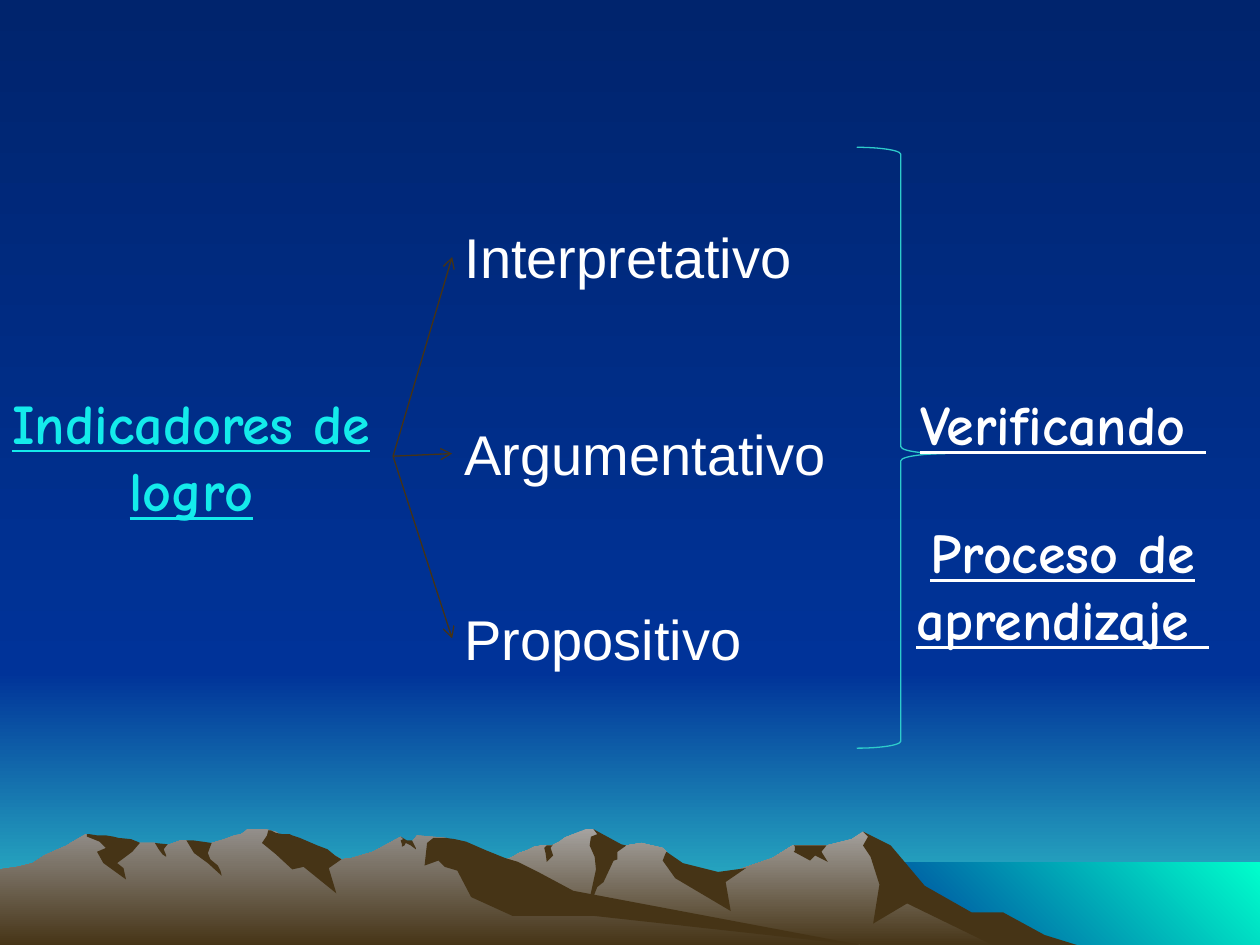
import lxml.etree
import pptx
import pptx.dml.color
import pptx.enum.shapes
import pptx.enum.text
import pptx.oxml.ns
import pptx.util

Pt = pptx.util.Pt
RGBColor = pptx.dml.color.RGBColor
SHAPE = pptx.enum.shapes.MSO_SHAPE
CENTER = pptx.enum.text.PP_ALIGN.CENTER

NIGHT = RGBColor(0x00, 0x24, 0x6D)
BLUE = RGBColor(0x00, 0x33, 0x99)
HORIZON = RGBColor(0x33, 0xCC, 0xCC)
SEA_GREEN = RGBColor(0x00, 0xFF, 0xCC)
EARTH = RGBColor(0x46, 0x34, 0x16)
RIGHT_PEAK = RGBColor(0xA5, 0xA2, 0x9F)
LEFT_PEAK = RGBColor(0x93, 0x8F, 0x8B)
ARROW = RGBColor(0x46, 0x33, 0x14)
BRACE = RGBColor(0x2E, 0xCB, 0xCB)
CYAN = RGBColor(0x14, 0xEB, 0xEB)
WHITE = RGBColor(0xFF, 0xFF, 0xFF)

DOWN, UP_RIGHT = 270, 45
RIGHT_SIDE, LEFT_SIDE = 3, 1

# Outlines count in steps of GRID points from the top left of the mountains.
GRID = 0.72
RIGHT_RIDGE = [
    (802, 82), (778, 69), (764, 65), (723, 40), (702, 13), (685, 2), (676, 8),
    (656, 13), (629, 13), (613, 23), (566, 39), (536, 32), (529, 18), (526, 15),
    (509, 11), (497, 13), (486, 15), (474, 3), (471, 0), (465, 0), (450, 6),
    (448, 7), (444, 10), (438, 13), (430, 13), (424, 14), (418, 17), (412, 19),
    (405, 23), (399, 25), (394, 27), (355, 40), (327, 51), (277, 81), (258, 93),
    (821, 93)]
RIGHT_SHADOWS = [
    [(796, 66), (771, 66), (734, 45), (707, 13), (685, 2), (689, 6), (685, 13),
     (691, 22), (698, 44), (693, 75), (720, 59), (792, 94), (858, 93), (829, 84)],
    [(471, 0), (474, 4), (469, 6), (468, 13), (472, 22), (473, 32), (465, 69),
     (474, 46), (479, 42), (487, 25), (490, 24), (490, 18), (497, 13), (493, 12)],
    [(529, 18), (528, 20), (526, 25), (536, 39), (580, 65), (576, 42), (592, 31),
     (570, 34), (542, 27)],
    [(650, 13), (630, 13), (631, 14), (631, 17), (630, 18), (643, 25), (647, 21),
     (657, 26), (652, 18), (656, 13)],
    [(433, 19), (432, 15), (434, 13), (438, 13), (439, 12), (437, 15), (439, 21),
     (434, 26)],
]
LEFT_RIDGE = [
    (690, 93), (667, 90), (432, 54), (354, 7), (331, 5), (327, 10), (323, 10),
    (318, 6), (296, 18), (279, 23), (271, 24), (260, 18), (236, 23), (223, 5),
    (222, 4), (219, 2), (215, 1), (212, 0), (196, 0), (194, 2), (191, 4),
    (186, 5), (178, 8), (168, 11), (160, 13), (148, 9), (143, 9), (132, 13),
    (128, 13), (123, 11), (111, 11), (94, 13), (68, 4), (56, 11), (53, 13),
    (46, 16), (35, 21), (26, 27), (14, 30), (0, 32), (0, 93)]
LEFT_SHADOWS = [
    [(212, 5), (208, 11), (219, 20), (232, 32), (241, 30), (267, 51), (261, 31),
     (271, 24), (266, 21), (260, 16), (252, 13), (245, 10), (238, 7), (232, 5),
     (230, 4), (224, 4), (219, 3), (215, 1), (213, 1)],
    [(370, 10), (361, 8), (354, 7), (344, 7), (339, 11), (337, 29), (348, 25),
     (353, 30), (363, 33), (374, 54), (407, 69), (472, 69), (690, 93), (683, 92),
     (455, 49), (427, 34), (411, 26), (401, 23), (386, 17)],
    [(318, 9), (320, 8), (318, 6), (323, 9), (327, 9), (330, 15), (330, 16),
     (326, 13), (322, 11), (321, 13), (319, 14), (319, 12)],
    [(154, 9), (161, 10), (168, 11), (165, 19), (167, 24), (173, 29), (175, 33),
     (176, 37), (165, 27), (154, 19), (148, 9)],
    [(133, 12), (130, 16), (132, 21), (132, 22), (129, 20), (126, 16), (123, 11)],
    [(109, 10), (111, 11), (105, 18), (93, 27), (98, 31), (100, 40), (82, 27),
     (77, 18), (84, 15), (79, 10), (69, 6), (69, 4), (71, 4), (77, 5), (84, 5),
     (90, 6), (94, 7), (104, 8)],
]


def fill_gradient(fill, colors, angle):
    fill.gradient()
    fill.gradient_angle = angle
    for stop, color, position in zip(fill.gradient_stops, colors, (0, 1)):
        stop.color.rgb = color
        stop.position = position


def add_panel(slide, box, colors, angle):
    panel = slide.shapes.add_shape(SHAPE.RECTANGLE, *map(Pt, box))
    panel.shadow.inherit = False
    panel.line.fill.background()
    fill_gradient(panel.fill, colors, angle)


def add_outline(slide, points, left, top):
    builder = slide.shapes.build_freeform(*points[0], scale=Pt(GRID))
    builder.add_line_segments(points[1:], close=True)
    outline = builder.convert_to_shape(Pt(left), Pt(top))
    outline.shadow.inherit = False
    outline.line.fill.background()
    return outline


def add_mountains(slide, left, top):
    ranges = ((RIGHT_RIDGE, RIGHT_PEAK, RIGHT_SHADOWS),
              (LEFT_RIDGE, LEFT_PEAK, LEFT_SHADOWS))
    for ridge, peak, shadows in ranges:
        fill_gradient(add_outline(slide, ridge, left, top).fill, (peak, EARTH), DOWN)
        for points in shadows:
            shadow = add_outline(slide, points, left, top)
            shadow.fill.solid()
            shadow.fill.fore_color.rgb = EARTH


def add_landscape(slide, width, height):
    """Sky, sea and mountains, from back to front."""
    horizon = 384
    fill_gradient(slide.background.fill, (NIGHT, BLUE), DOWN)
    add_panel(slide, (0, horizon, width, height - horizon), (BLUE, HORIZON), DOWN)
    add_panel(slide, (0, 0, width, horizon), (NIGHT, BLUE), DOWN)
    add_panel(slide, (492, 493, width - 492, height - 493), (BLUE, SEA_GREEN), UP_RIGHT)
    add_mountains(slide, 0, 473.8)


def add_label(slide, box, text, color=WHITE, heading=False):
    """Headings are centred, bold and underlined."""
    label = slide.shapes.add_textbox(*map(Pt, box))
    label.text_frame.word_wrap = True
    label.text_frame.auto_size = pptx.enum.text.MSO_AUTO_SIZE.SHAPE_TO_FIT_TEXT
    paragraph = label.text_frame.paragraphs[0]
    run = paragraph.add_run()
    run.text = text
    run.font.size = Pt(32)
    run.font.name = "Comic Neue" if heading else "Arial"
    run.font.color.rgb = color
    if heading:
        paragraph.alignment = CENTER
        run.font.bold = run.font.underline = True
    return label


def add_arrow(slide, start, end):
    arrow = slide.shapes.add_connector(
        pptx.enum.shapes.MSO_CONNECTOR.STRAIGHT, 0, 0, 0, 0)
    arrow.begin_connect(start, RIGHT_SIDE)
    arrow.end_connect(end, LEFT_SIDE)
    arrow.line.color.rgb = ARROW
    arrow.line.width = Pt(0.75)
    qn = pptx.oxml.ns.qn
    lxml.etree.SubElement(arrow.line._get_or_add_ln(), qn("a:tailEnd"), type="arrow")
    lxml.etree.SubElement(arrow._element.spPr, qn("a:effectLst"))


def add_indicators(slide, left, top):
    """The heading on the left, with an arrow to each level."""
    indicators = add_label(slide, (left, top + 94.4, 230.4, 85),
                           "Indicadores de logro", CYAN, heading=True)
    levels = (("Interpretativo", 0, 242), ("Argumentativo", 112.4, 258.5),
              ("Propositivo", 218, 242))
    level_labels = [add_label(slide, (left + 264.2, top + offset, width, 46), text)
                    for text, offset, width in levels]
    for level in level_labels:
        add_arrow(slide, indicators, level)


def add_verification(slide, left, top):
    """The brace and the two headings it points to."""
    brace = slide.shapes.add_shape(
        SHAPE.RIGHT_BRACE, Pt(left), Pt(top), Pt(50.4), Pt(343.4))
    brace.adjustments[0] = 0.08
    brace.adjustments[1] = 0.51
    brace.shadow.inherit = False
    brace.fill.background()
    brace.line.color.rgb = BRACE
    brace.line.width = Pt(0.75)
    for text, offset, height in (("Verificando ", 134.7, 46),
                                 ("Proceso de aprendizaje ", 208, 85)):
        add_label(slide, (left + 16.6, top + offset, 202.3, height), text, heading=True)


def main():
    width, height = 720, 540
    deck = pptx.Presentation()
    deck.slide_width, deck.slide_height = Pt(width), Pt(height)
    slide = deck.slides.add_slide(deck.slide_layouts[6])
    add_landscape(slide, width, height)
    add_indicators(slide, -5.8, 123.8)
    add_verification(slide, 489.6, 84.2)
    deck.save("out.pptx")


if __name__ == "__main__":
    main()
